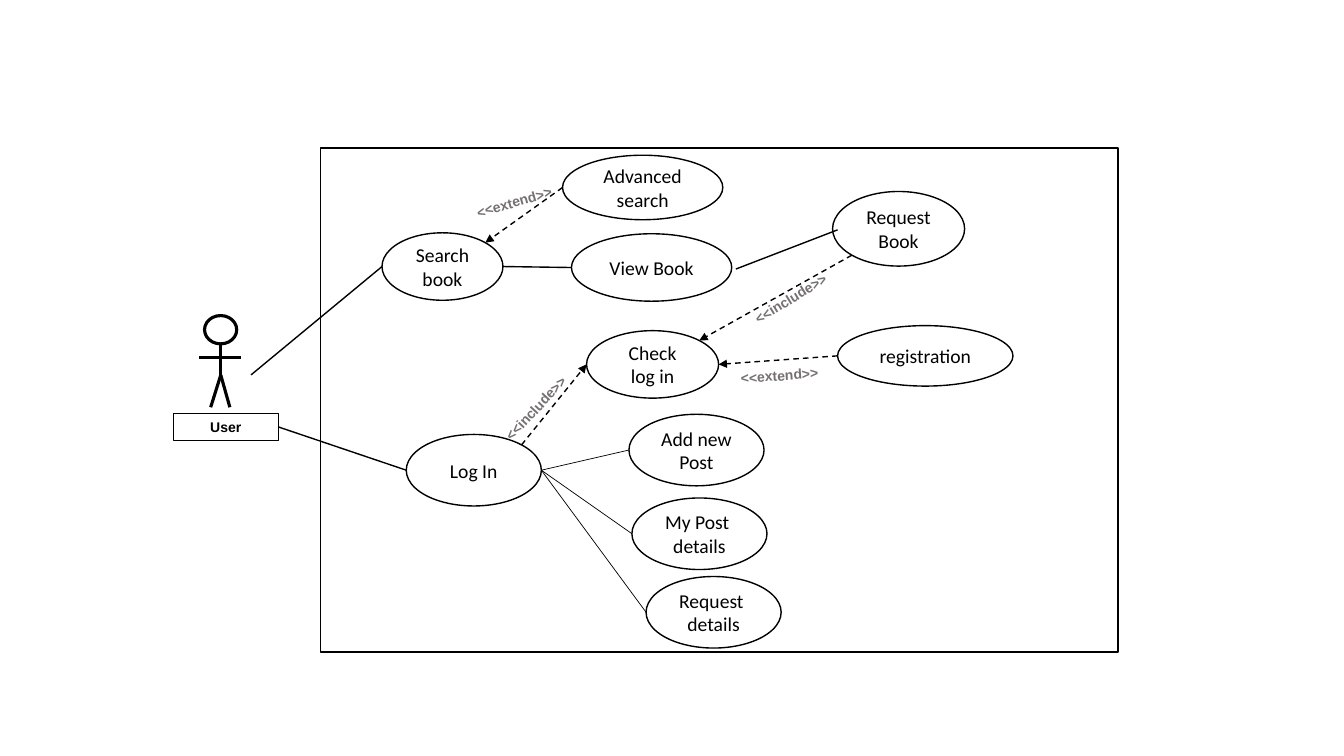
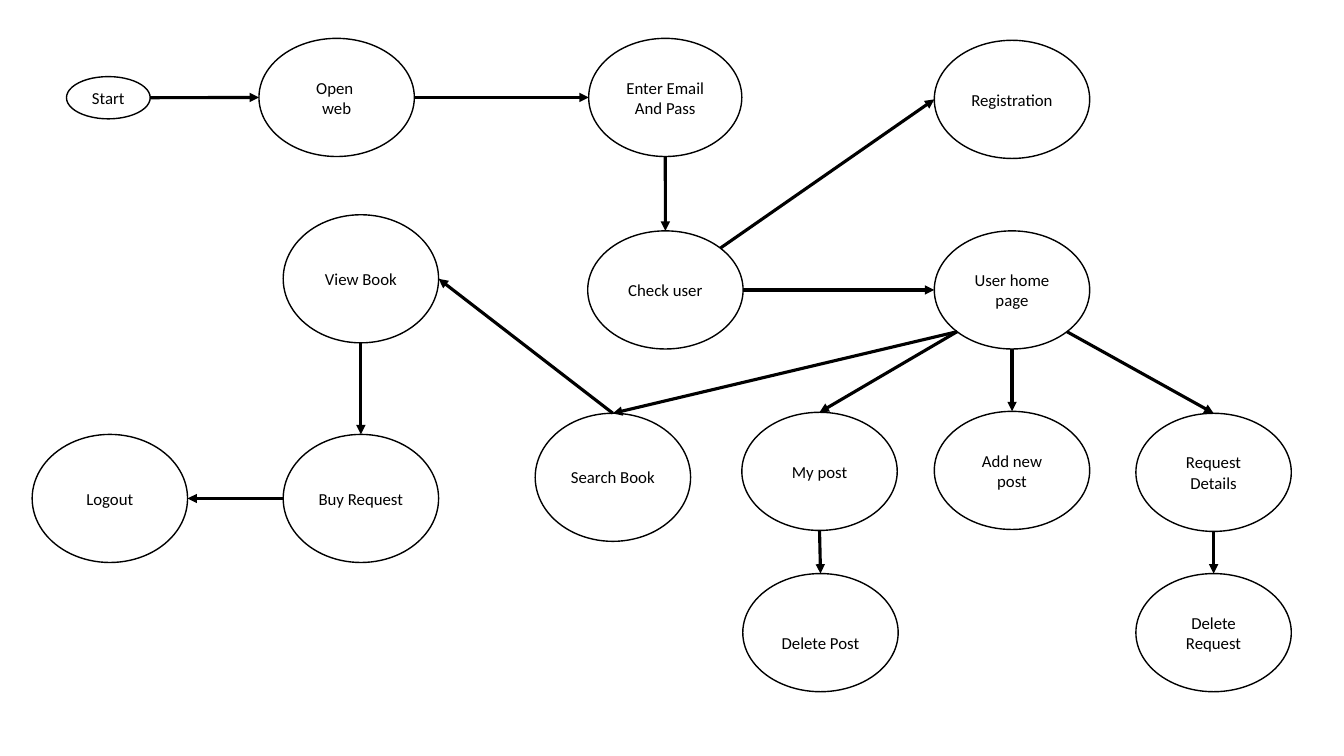
from dataclasses import dataclass
from enum import IntEnum
from math import cos, pi, sin

from lxml.etree import SubElement
from pptx import Presentation
from pptx.dml.color import RGBColor
from pptx.enum.dml import MSO_LINE
from pptx.enum.shapes import MSO_CONNECTOR, MSO_SHAPE as Preset
from pptx.enum.text import MSO_ANCHOR as Anchor, PP_ALIGN as Align
from pptx.oxml.ns import qn
from pptx.util import Pt


@dataclass(frozen=True)
class Theme:
    ink: RGBColor = RGBColor(0x00, 0x00, 0x00)
    muted: RGBColor = RGBColor(0x76, 0x71, 0x71)
    node_font: str = "Calibri"
    label_font: str = "Arial"
    case_size: float = 14
    step_size: float = 12
    label_size: float = 10
    hairline: float = 0.5
    fine: float = 0.75
    normal: float = 1
    heavy: float = 2.25


THEME = Theme()


@dataclass(frozen=True)
class Box:
    left: float
    top: float
    width: float
    height: float

    def inner(self, left, top, width, height):
        return Box(self.left + left, self.top + top, width, height)

    def point(self, x, y):
        return Pt(self.left + x), Pt(self.top + y)

    def lengths(self):
        return [Pt(v) for v in (self.left, self.top, self.width, self.height)]


class Site(IntEnum):
    """Connection sites of an ellipse, counterclockwise from the top."""
    TOP = 0
    TOP_LEFT = 1
    LEFT = 2
    BOTTOM_LEFT = 3
    BOTTOM = 4
    BOTTOM_RIGHT = 5
    RIGHT = 6
    TOP_RIGHT = 7


# Shared building blocks

def write_text(shape, text, size=THEME.case_size, font=THEME.node_font,
               color=THEME.ink, bold=False, align=Align.CENTER,
               anchor=Anchor.MIDDLE, wrap=True):
    frame = shape.text_frame
    frame.word_wrap = wrap
    frame.vertical_anchor = anchor
    for number, line in enumerate(text.split("\n")):
        paragraph = frame.paragraphs[0] if number == 0 else frame.add_paragraph()
        paragraph.alignment = align
        run = paragraph.add_run()
        run.text = line
        run.font.name = font
        run.font.size = Pt(size)
        run.font.bold = bold
        run.font.color.rgb = color


def add_outline(slide, preset, box, weight=THEME.normal):
    shape = slide.shapes.add_shape(preset, *box.lengths())
    shape.shadow.inherit = False
    shape.fill.background()
    shape.line.color.rgb = THEME.ink
    shape.line.width = Pt(weight)
    return shape


def add_node(slide, box, text, size):
    node = add_outline(slide, Preset.OVAL, box)
    write_text(node, text, size=size)
    return node


def site_point(shape, site):
    angle = pi / 2 + site * pi / 4
    return (round(shape.left + shape.width * (1 + cos(angle)) / 2),
            round(shape.top + shape.height * (1 - sin(angle)) / 2))


def glue(connector, shape, site, at_start):
    if shape.auto_shape_type == Preset.RECTANGLE:
        join = connector.begin_connect if at_start else connector.end_connect
        join(shape, site // 2)
        return
    # python-pptx only knows four sites, an ellipse has eight
    properties = connector._element.nvCxnSpPr.cNvCxnSpPr
    SubElement(properties, qn("a:stCxn" if at_start else "a:endCxn"),
               id=str(shape.shape_id), idx=str(int(site)))


def add_line(slide, start, end, weight=THEME.normal, dashed=False, arrow=False):
    """Each end is either an (x, y) point or a (shape, site) pair."""
    ends = [(end_, isinstance(end_[1], Site)) for end_ in (start, end)]
    points = [site_point(*e) if attached else e for e, attached in ends]
    connector = slide.shapes.add_connector(
        MSO_CONNECTOR.STRAIGHT, *points[0], *points[1])
    connector.line.color.rgb = THEME.ink
    connector.line.width = Pt(weight)
    if dashed:
        connector.line.dash_style = MSO_LINE.DASH
    properties = connector._element.spPr
    if arrow:
        SubElement(properties.find(qn("a:ln")), qn("a:tailEnd"), type="triangle")
    SubElement(properties, qn("a:effectLst"))
    for (end_, attached), at_start in zip(ends, (True, False)):
        if attached:
            glue(connector, *end_, at_start)
    return connector


# Use case diagram

def draw_actor(slide, box, name):
    """Draws the stick figure; returns its name plate and its hand point."""
    center, neck, hip, foot = 33.9, 20.9, 42.5, 65.5
    add_outline(slide, Preset.OVAL, box.inner(22.3, 0, 23, 20.2), THEME.heavy)
    limbs = [
        ((center, hip), (center, neck)),
        ((26.7, foot), (center, hip)),
        ((40.4, foot), (center, hip)),
        ((48.2, 30.2), (18.7, 30.2)),
    ]
    for start, end in limbs:
        add_line(slide, box.point(*start), box.point(*end), THEME.heavy)
    plate = add_outline(slide, Preset.RECTANGLE,
                        box.inner(0, 69.8, box.width, 19.4), THEME.fine)
    write_text(plate, name, size=THEME.label_size, font=THEME.label_font,
               bold=True, anchor=Anchor.TOP)
    return plate, box.point(55.5, 42.4)


def add_stereotype(slide, box, text, rotation):
    label = slide.shapes.add_textbox(*box.lengths())
    label.rotation = rotation
    write_text(label, text, size=THEME.label_size, font=THEME.label_font,
               color=THEME.muted, bold=True, align=Align.LEFT,
               anchor=Anchor.TOP, wrap=False)


def draw_system(slide, box, plate, hand):
    add_outline(slide, Preset.RECTANGLE, box)

    # Use cases
    wide, medium, action = (114.5, 48.2), (94.3, 48.2), (96.5, 51.1)
    cases = {
        "search": ("Search\nbook", 43.9, 60.5, 86.4, 48.2),
        "advanced": ("Advanced search", 172.8, 5.1, 114.5, 46.1),
        "view": ("View Book", 179.2, 61.2, *wide),
        "request": ("Request Book", 365.7, 31, 94.3, 53.3),
        "login": ("Log In", 61.2, 204.5, *action),
        "check": ("Check log in", 190, 130.4, *medium),
        "registration": ("registration", 369.3, 126.8, 125.3, 43.2),
        "add": ("Add new Post", 220.3, 190.1, *action),
        "posts": ("My Post \ndetails", 222.4, 249.9, *action),
        "details": ("Request \ndetails", 232.5, 306, *action),
    }
    nodes = {key: add_node(slide, box.inner(*place), text, THEME.case_size)
             for key, (text, *place) in cases.items()}

    # Associations
    add_line(slide, hand, (nodes["search"], Site.LEFT))
    add_line(slide, (plate, Site.RIGHT), (nodes["login"], Site.LEFT))
    add_line(slide, (nodes["search"], Site.RIGHT), (nodes["view"], Site.LEFT))
    add_line(slide, box.point(296.6, 86.4), box.point(369.3, 58.4))
    for key in ("add", "posts", "details"):
        add_line(slide, (nodes["login"], Site.RIGHT), (nodes[key], Site.LEFT),
                 THEME.hairline)

    # Dependencies
    dependencies = [
        ("request", Site.BOTTOM_LEFT, "check", Site.TOP_RIGHT),
        ("advanced", Site.LEFT, "search", Site.TOP_RIGHT),
        ("registration", Site.LEFT, "check", Site.RIGHT),
        ("login", Site.TOP_RIGHT, "check", Site.LEFT),
    ]
    for source, leave, target, enter in dependencies:
        add_line(slide, (nodes[source], leave), (nodes[target], enter),
                 dashed=True, arrow=True)

    # Stereotypes
    stereotypes = [
        ("<<extend>>", 103.6, 28.8, 70.6, 343.9),
        ("<<extend>>", 293, 152.7, 70.6, 356),
        ("<<include>>", 299.5, 97.2, 74.2, 328.4),
        ("<<include>>", 117.3, 175.7, 73.4, 313.1),
    ]
    for text, left, top, width, rotation in stereotypes:
        add_stereotype(slide, box.inner(left, top, width, 19.4), text, rotation)


# Activity flow

def draw_flow(slide, box):
    normal, tall = (111, 84.4), (111, 91.5)
    book_column, home_column, request_column = 179.3, 644.4, 788.4
    user_row, buy_row, delete_row = 137.9, 283.3, 382.7
    steps = {
        "start": ("Start", 24.5, 27.7, 59.8, 30.2),
        "open": ("Open \nweb", 162, 0.4, *normal),
        "enter": ("Enter Email And Pass", 397.5, 0.4, 109.4, 84.4),
        "check": ("Check user", 396.8, user_row, *normal),
        "registration": ("Registration", home_column, 1.8, *normal),
        "home": ("User home page", home_column, user_row, *normal),
        "posts": ("My post", 506.9, 267.5, *normal),
        "add": ("Add new post", home_column, 266.8, *normal),
        "details": ("Request Details", request_column, 268.2, *normal),
        "search": ("Search Book", 359.3, 268.2, *tall),
        "view": ("View Book", book_column, 126.4, *tall),
        "buy": ("Buy Request", book_column, buy_row, *tall),
        "logout": ("Logout", 0, buy_row, *tall),
        "delete post": ("Delete Post", 507.6, delete_row, *normal),
        "delete request": ("Delete Request", request_column, delete_row, *normal),
    }
    nodes = {key: add_node(slide, box.inner(*place), text, THEME.step_size)
             for key, (text, *place) in steps.items()}
    # This text sits half a line below the middle
    nodes["delete post"].text_frame.margin_top = Pt(18)

    # Arrows
    arrows = [
        ("start", Site.RIGHT, "open", Site.LEFT),
        ("open", Site.RIGHT, "enter", Site.LEFT),
        ("enter", Site.BOTTOM, "check", Site.TOP),
        ("check", Site.TOP_RIGHT, "registration", Site.LEFT),
        ("check", Site.RIGHT, "home", Site.LEFT),
        ("home", Site.BOTTOM_RIGHT, "details", Site.TOP),
        ("home", Site.BOTTOM, "add", Site.TOP),
        ("home", Site.BOTTOM_LEFT, "posts", Site.TOP),
        ("home", Site.BOTTOM_LEFT, "search", Site.TOP),
        ("search", Site.TOP, "view", Site.RIGHT),
        ("view", Site.BOTTOM, "buy", Site.TOP),
        ("buy", Site.LEFT, "logout", Site.RIGHT),
        ("details", Site.BOTTOM, "delete request", Site.TOP),
        ("posts", Site.BOTTOM, "delete post", Site.TOP),
    ]
    for source, leave, target, enter in arrows:
        add_line(slide, (nodes[source], leave), (nodes[target], enter),
                 THEME.heavy, arrow=True)


def main():
    presentation = Presentation()
    presentation.slide_width, presentation.slide_height = Pt(960), Pt(540)
    blank = presentation.slide_layouts[6]

    use_cases = presentation.slides.add_slide(blank)
    plate, hand = draw_actor(use_cases, Box(123.8, 225.4, 74.9, 89.2), "User")
    draw_system(use_cases, Box(229, 105.8, 569.5, 360), plate, hand)

    flow = presentation.slides.add_slide(blank)
    draw_flow(flow, Box(23, 27, 900, 467))

    presentation.save("out.pptx")


if __name__ == "__main__":
    main()
